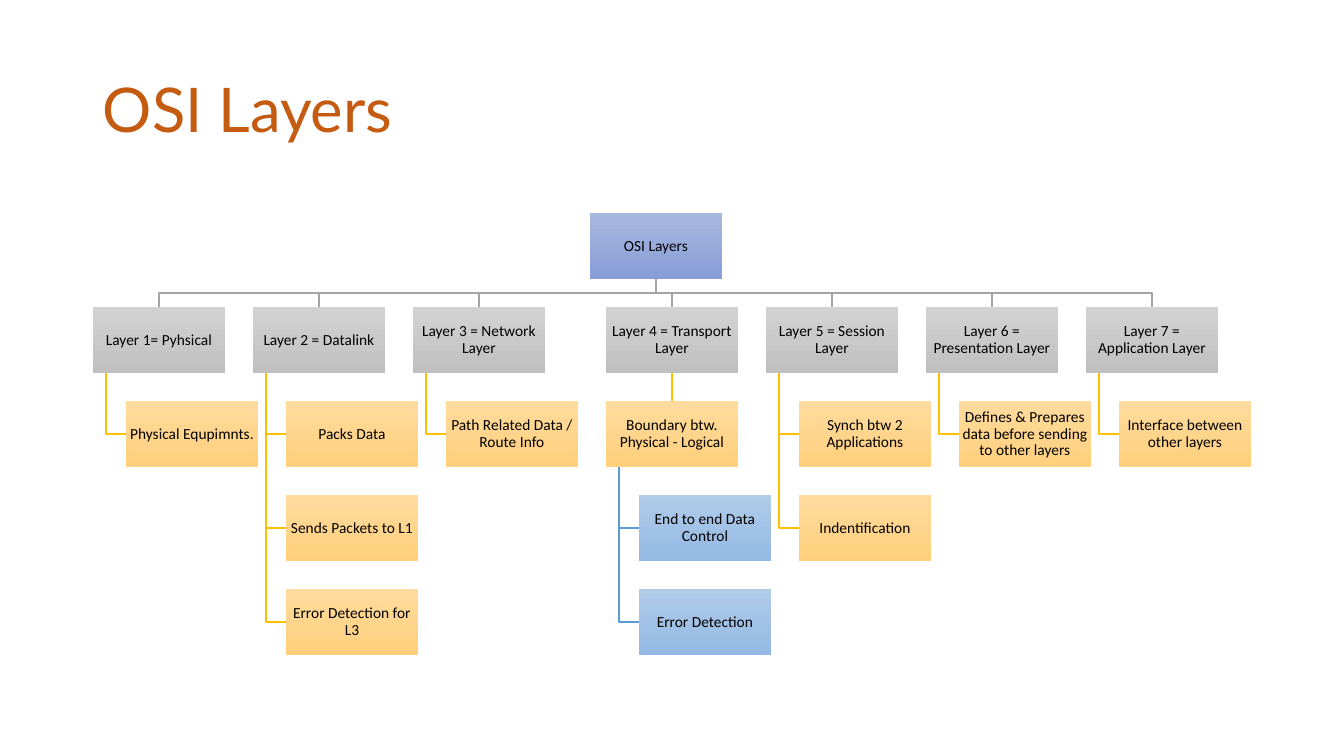
from dataclasses import dataclass

from lxml import etree
from pptx import Presentation
from pptx import util as u
from pptx.dml.color import RGBColor
from pptx.enum import shapes, text
from pptx.oxml.ns import qn

PX = 914400 / 100.8  # EMU in one px
BOX_W, BOX_H = 132, 66
TOP, ROW_STEP = 213, 94
ROOT_LEFT = 590
FIRST_LEFT, FOURTH_LEFT, COLUMN_STEP = 93, 606, 160
INDENT, TRUNK = 33, 13


@dataclass(frozen=True)
class Tone:
    light: str
    dark: str
    line: str


@dataclass(frozen=True)
class Layer:
    name: str
    left: int
    duties: tuple[str, ...]


ROOT = Tone("A8B7DF", "889ED7", "4472C4")
LAYER = Tone("D2D2D2", "C0C0C0", "A5A5A5")
DUTY = Tone("FFDB9E", "FFD07C", "FFC000")
DETAIL = Tone("B1CBE9", "93B9E4", "5B9BD5")

LAYERS = (
    Layer("Layer 1= Pyhsical", FIRST_LEFT, ("Physical Equpimnts.",)),
    Layer("Layer 2 = Datalink", FIRST_LEFT + COLUMN_STEP,
          ("Packs Data", "Sends Packets to L1", "Error Detection for L3")),
    Layer("Layer 3 = Network Layer", FIRST_LEFT + 2 * COLUMN_STEP,
          ("Path Related Data / Route Info",)),
    Layer("Layer 4 = Transport Layer", FOURTH_LEFT, ()),
    Layer("Layer 5 = Session Layer", FOURTH_LEFT + COLUMN_STEP,
          ("Synch btw 2 Applications", "Indentification")),
    Layer("Layer 6 = Presentation Layer", FOURTH_LEFT + 2 * COLUMN_STEP,
          ("Defines & Prepares data before sending to other layers",)),
    Layer("Layer 7 = Application Layer", FOURTH_LEFT + 3 * COLUMN_STEP,
          ("Interface between other layers",)),
)
BOUNDARY = "Boundary btw. Physical - Logical"
BOUNDARY_DETAILS = ("End to end Data Control", "Error Detection")


def px(length: int) -> u.Emu:
    return u.Emu(round(length * PX))


def colour(code: str) -> RGBColor:
    return RGBColor.from_string(code)


def row_top(row: int) -> int:
    return TOP + row * ROW_STEP


def write(shape, words: str, font: str, size: int, code: str, align) -> None:
    frame = shape.text_frame
    frame.word_wrap = True
    frame.vertical_anchor = text.MSO_ANCHOR.MIDDLE
    para = frame.paragraphs[0]
    para.text = words
    para.alignment = align
    para.line_spacing = 0.9
    para.font.name = font
    para.font.size = u.Pt(size)
    para.font.color.rgb = colour(code)


def add_box(page, words: str, left: int, row: int, tone: Tone):
    box = page.shapes.add_shape(shapes.MSO_SHAPE.RECTANGLE, px(left),
                                px(row_top(row)), px(BOX_W), px(BOX_H))
    box.shadow.inherit = False
    box.line.fill.background()
    box.fill.gradient()
    box.fill.gradient_angle = 270
    for stop, code, position in zip(box.fill.gradient_stops,
                                    (tone.light, tone.dark), (0, 1)):
        stop.color.rgb = colour(code)
        stop.position = position
    frame = box.text_frame
    frame.margin_left = frame.margin_right = px(1)
    frame.margin_top = frame.margin_bottom = px(1)
    write(box, words, "Calibri", 11, "000000", text.PP_ALIGN.CENTER)
    return box


def add_elbow(page, points: list[tuple[int, int]], code: str) -> None:
    builder = page.shapes.build_freeform(*points[0], scale=PX)
    builder.add_line_segments(points[1:], close=False)
    elbow = builder.convert_to_shape()
    elbow.shadow.inherit = False
    elbow.fill.background()
    elbow.line.color.rgb = colour(code)
    elbow.line.width = u.Pt(1)


def hang_boxes(page, names: tuple[str, ...], parent_left: int,
               parent_row: int, tone: Tone) -> None:
    """Stack boxes under a parent, each joined to the trunk on its left."""
    trunk, left = parent_left + TRUNK, parent_left + INDENT
    start = row_top(parent_row) + BOX_H
    for row, name in enumerate(names, parent_row + 1):
        middle = row_top(row) + BOX_H // 2
        add_elbow(page, [(trunk, start), (trunk, middle), (left, middle)],
                  tone.line)
        add_box(page, name, left, row, tone)


def join_down(page, upper, lower, code: str) -> None:
    link = page.shapes.add_connector(shapes.MSO_CONNECTOR.STRAIGHT, 0, 0, 0, 0)
    link.begin_connect(upper, 2)
    link.end_connect(lower, 0)
    link.line.color.rgb = colour(code)
    link.line.width = u.Pt(1)
    etree.SubElement(link._element.spPr, qn("a:effectLst"))


def main() -> None:
    deck = Presentation()
    deck.slide_width, deck.slide_height = px(1344), px(756)
    page = deck.slides.add_slide(deck.slide_layouts[6])

    # Title
    title = page.shapes.add_textbox(px(93), px(40), px(1159), px(146))
    write(title, "OSI Layers", "Lato", 44, "C55A11", text.PP_ALIGN.LEFT)

    # Root and the seven layers with their duties
    add_box(page, "OSI Layers", ROOT_LEFT, 0, ROOT)
    root_x, root_bottom = ROOT_LEFT + BOX_W // 2, TOP + BOX_H
    layer_top = row_top(1)
    bar = (root_bottom + layer_top) // 2
    layer_boxes = {}
    for layer in LAYERS:
        centre = layer.left + BOX_W // 2
        add_elbow(page, [(root_x, root_bottom), (root_x, bar),
                         (centre, bar), (centre, layer_top)], LAYER.line)
        layer_boxes[layer.left] = add_box(page, layer.name, layer.left, 1, LAYER)
        hang_boxes(page, layer.duties, layer.left, 1, DUTY)

    # Boundary straight below layer 4, with its details
    boundary = add_box(page, BOUNDARY, FOURTH_LEFT, 2, DUTY)
    join_down(page, layer_boxes[FOURTH_LEFT], boundary, DUTY.line)
    hang_boxes(page, BOUNDARY_DETAILS, FOURTH_LEFT, 2, DETAIL)

    deck.save("out.pptx")


if __name__ == "__main__":
    main()
